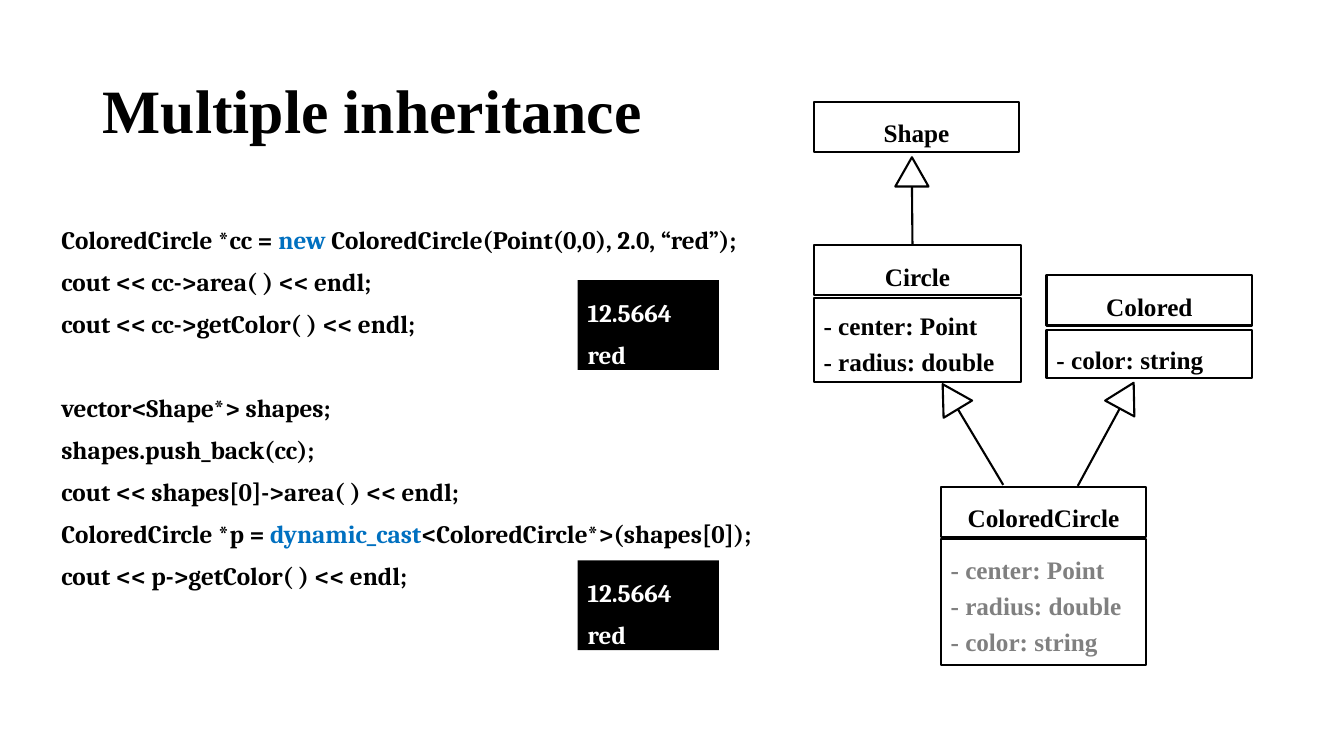
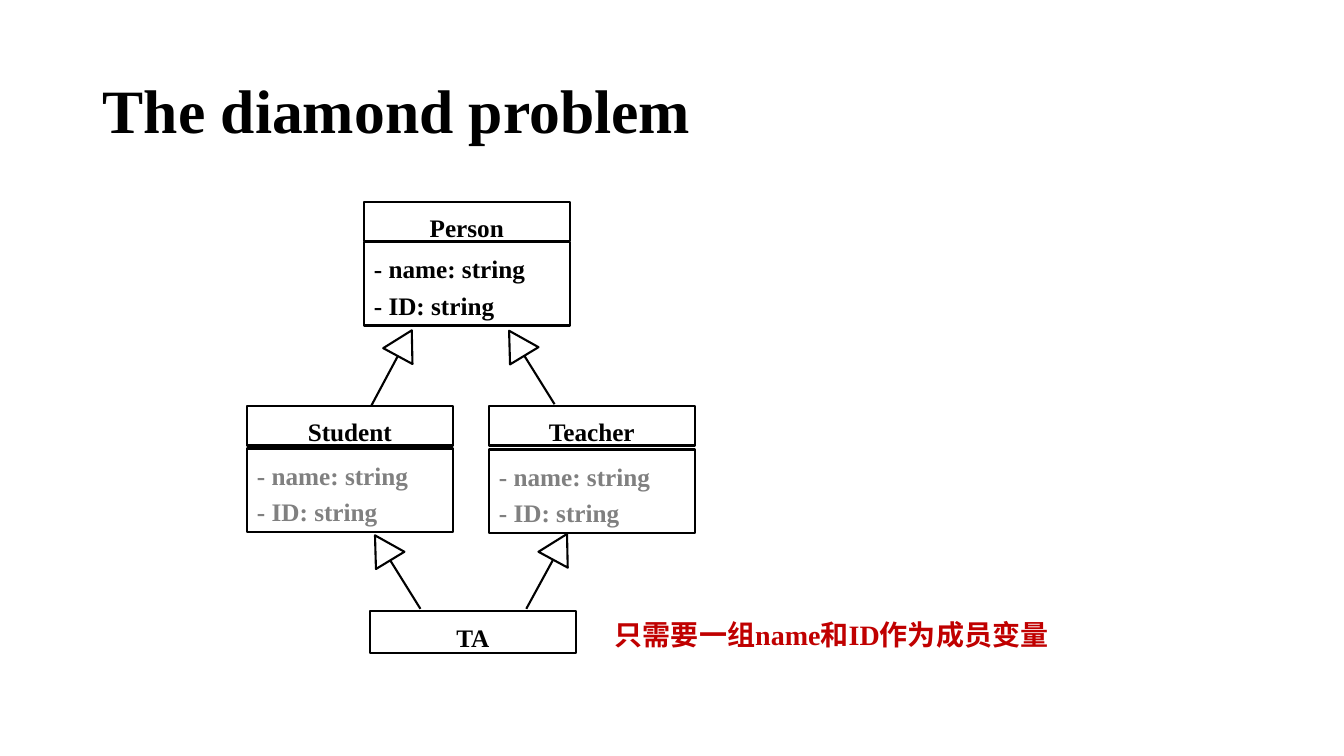
from math import cos, radians, sin

from pptx import Presentation
from pptx.dml.color import RGBColor
from pptx.enum.shapes import MSO_CONNECTOR, MSO_SHAPE
from pptx.enum.text import MSO_ANCHOR, MSO_AUTO_SIZE, PP_ALIGN
from pptx.oxml.ns import qn
from pptx.util import Inches, Pt

# Shared colours and styles
BLACK, WHITE, GRAY = "000000", "FFFFFF", "808080"
KEYWORD, WARNING = "0070C0", "C00000"

TITLE_FONT = {"name": "Times New Roman", "size": Pt(44), "bold": True}
CLASS_FONT = {"name": "Times New Roman", "size": Pt(18), "bold": True}
NOTE_FONT = {"name": "Times New Roman", "size": Pt(20), "bold": True}
CODE_FONT = {"name": "Cambria", "size": Pt(18), "bold": True}

CENTER = {"alignment": PP_ALIGN.CENTER, "line_spacing": Pt(30)}
SINGLE = {"alignment": PP_ALIGN.LEFT, "line_spacing": Pt(30)}
LISTED = {"alignment": PP_ALIGN.LEFT, "line_spacing": Pt(26)}
CODE = {"alignment": PP_ALIGN.JUSTIFY, "line_spacing": Pt(30)}
NOTE = {"alignment": PP_ALIGN.JUSTIFY, "line_spacing": Pt(28)}
TITLE = {"alignment": PP_ALIGN.LEFT, "line_spacing": 0.9}

# Class diagram sizes in inches
CLASS_W = 2.04
ATTRIBUTES_H = {1: 0.48, 2: 0.83, 3: 1.25}
HEAD_W, HEAD_H = 0.33, 0.29
LEAN_LEFT, UPRIGHT, LEAN_RIGHT = -31.2, 0, 28.4


def rgb(color):
    return RGBColor.from_string(color)


def apply(target, values):
    for name, value in values.items():
        setattr(target, name, value)


def write(tf, lines, font, paragraph, color=BLACK):
    """Write lines; each is a string or a list of (text, colour) runs."""
    for i, line in enumerate(lines):
        p = tf.paragraphs[0] if i == 0 else tf.add_paragraph()
        apply(p, paragraph)
        runs = [(line, color)] if isinstance(line, str) else line
        for text, run_color in runs:
            r = p.add_run()
            r.text = text
            apply(r.font, font)
            r.font.color.rgb = rgb(run_color)


def add_slide(prs, title):
    s = prs.slides.add_slide(prs.slide_layouts[5])
    sp = s.shapes.title
    apply(sp, {"left": Inches(0.92), "top": Inches(0.4),
               "width": Inches(11.5), "height": Inches(1.45)})
    apply(sp.text_frame, {"word_wrap": True, "auto_size": MSO_AUTO_SIZE.NONE,
                          "vertical_anchor": MSO_ANCHOR.MIDDLE})
    write(sp.text_frame, [title], TITLE_FONT, TITLE)
    return s


def add_text(s, left, top, width, height, lines, font, paragraph, color=BLACK):
    sp = s.shapes.add_textbox(*map(Inches, (left, top, width, height)))
    apply(sp.text_frame, {"word_wrap": True,
                          "auto_size": MSO_AUTO_SIZE.SHAPE_TO_FIT_TEXT})
    write(sp.text_frame, lines, font, paragraph, color)
    return sp


def add_box(s, left, top, width, height, fill=None, line=BLACK,
            preset=MSO_SHAPE.RECTANGLE):
    sp = s.shapes.add_shape(preset, *map(Inches, (left, top, width, height)))
    sp.shadow.inherit = False
    if fill:
        sp.fill.solid()
        sp.fill.fore_color.rgb = rgb(fill)
    else:
        sp.fill.background()
    if line:
        sp.line.color.rgb = rgb(line)
        sp.line.width = Pt(1.5)
    else:
        sp.line.fill.background()
    return sp


def add_class(s, left, top, name, attributes=(), color=BLACK, width=CLASS_W,
              name_h=0.5, gap=0.03):
    """Draw a class: a name box and, below it, a box of attributes."""
    sp = add_box(s, left, top, width, name_h)
    write(sp.text_frame, [name], CLASS_FONT, CENTER)
    if attributes:
        sp = add_box(s, left, top + name_h + gap, width,
                     ATTRIBUTES_H[len(attributes)])
        paragraph = SINGLE if len(attributes) == 1 else LISTED
        write(sp.text_frame, attributes, CLASS_FONT, paragraph, color)


def add_inheritance(s, x, y, head_left, head_top, angle):
    """Draw a line from x, y to the base of a hollow, turned arrowhead."""
    turn = radians(angle)
    base_x = head_left + HEAD_W / 2 - sin(turn) * HEAD_H / 2
    base_y = head_top + HEAD_H / 2 + cos(turn) * HEAD_H / 2
    line = s.shapes.add_connector(MSO_CONNECTOR.STRAIGHT,
                                  *map(Inches, (x, y, base_x, base_y)))
    line.line.color.rgb = rgb(BLACK)
    line.line.width = Pt(1.5)
    sp_pr = line._element.spPr
    sp_pr.append(sp_pr.makeelement(qn("a:effectLst"), {}))
    head = add_box(s, head_left, head_top, HEAD_W, HEAD_H, fill=WHITE,
                   preset=MSO_SHAPE.ISOSCELES_TRIANGLE)
    head.rotation = angle % 360


def add_console(s, top, lines):
    sp = add_box(s, 5.73, top, 1.4, 0.89, fill=BLACK, line=None)
    sp.text_frame.vertical_anchor = MSO_ANCHOR.TOP
    write(sp.text_frame, lines, CODE_FONT, SINGLE, WHITE)


def multiple_inheritance(prs):
    s = add_slide(prs, "Multiple inheritance")

    # Class diagram
    center, radius, color = "- center: Point", "- radius: double", "- color: string"
    add_class(s, 8.07, 1.01, "Shape")
    add_class(s, 8.07, 2.43, "Circle", [center, radius], width=2.06)
    add_class(s, 10.38, 2.73, "Colored", [color], gap=0.04)
    add_class(s, 9.33, 4.83, "ColoredCircle", [center, radius, color], GRAY,
              gap=0.02)
    for arrow in [(9.05, 2.42, 8.88, 1.56, UPRIGHT),
                  (9.95, 4.81, 9.26, 3.79, LEAN_LEFT),
                  (10.69, 4.82, 11.01, 3.78, LEAN_RIGHT)]:
        add_inheritance(s, *arrow)

    # Code, with a one-line gap before the second part
    code = [
        [("ColoredCircle *cc = ", BLACK), ("new ", KEYWORD),
         ("ColoredCircle(Point(0,0), 2.0, “red”);", BLACK)],
        "cout << cc->area( ) << endl;",
        "cout << cc->getColor( ) << endl;",
        "vector<Shape*> shapes;",
        "shapes.push_back(cc);",
        "cout << shapes[0]->area( ) << endl;",
        [("ColoredCircle *p = ", BLACK), ("dynamic_cast", KEYWORD),
         ("<ColoredCircle*>(shapes[0]);", BLACK)],
        "cout << p->getColor( ) << endl;",
    ]
    sp = add_text(s, 0.51, 2.06, 7.19, 3.84, code, CODE_FONT, CODE)
    sp.text_frame.paragraphs[3].space_before = Pt(30)

    # Program output
    for top in (2.78, 5.56):
        add_console(s, top, ["12.5664", "red"])


def diamond_problem(prs):
    s = add_slide(prs, "The diamond problem")

    # Class diagram
    attributes = ["- name: string", "- ID: string"]
    add_class(s, 3.61, 2, "Person", attributes, name_h=0.39, gap=0.01)
    add_class(s, 2.45, 4.03, "Student", attributes, GRAY, name_h=0.39)
    add_class(s, 4.85, 4.03, "Teacher", attributes, GRAY, name_h=0.39, gap=0.04)
    add_class(s, 3.67, 6.06, "TA", name_h=0.42)
    for arrow in [(3.68, 4.03, 3.85, 3.26, LEAN_RIGHT),
                  (5.5, 4.01, 4.96, 3.26, LEAN_LEFT),
                  (4.17, 6.04, 3.63, 5.29, LEAN_LEFT),
                  (5.22, 6.04, 5.39, 5.28, LEAN_RIGHT)]:
        add_inheritance(s, *arrow)

    # Remark
    add_text(s, 6, 6.02, 4.59, 0.46, ["只需要一组name和ID作为成员变量"],
             NOTE_FONT, NOTE, WARNING)


def main():
    prs = Presentation()
    prs.slide_width, prs.slide_height = Inches(13.33), Inches(7.5)
    multiple_inheritance(prs)
    diamond_problem(prs)
    prs.save("out.pptx")


if __name__ == "__main__":
    main()
